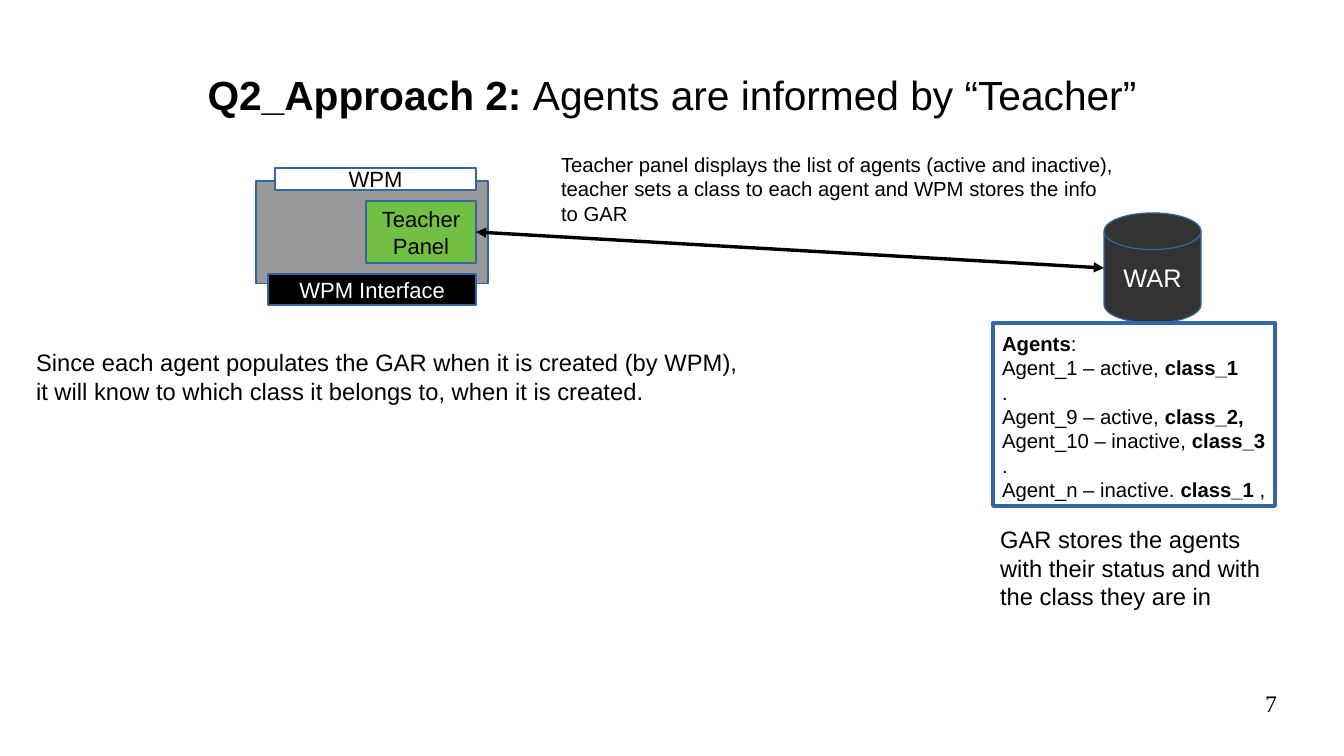
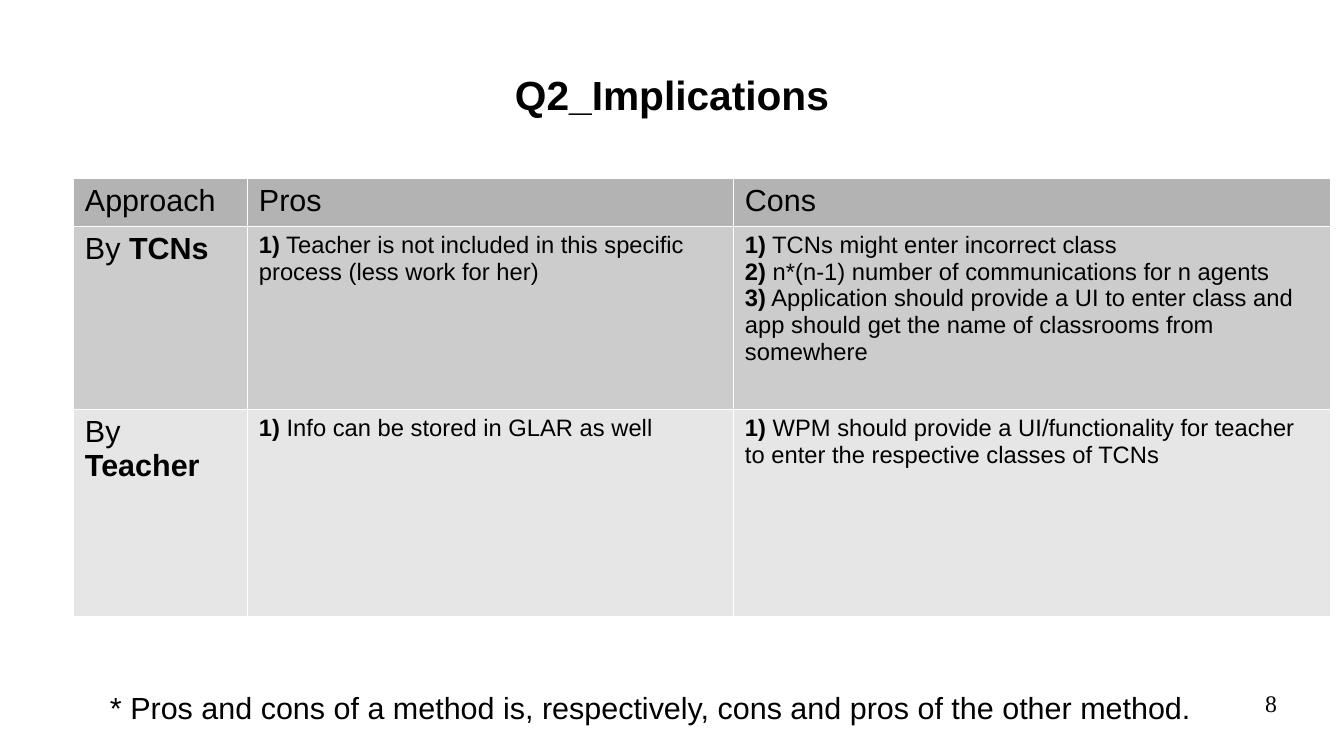
from dataclasses import dataclass
from typing import Any, Optional

from lxml import etree
from pptx import Presentation
from pptx.dml.color import RGBColor
from pptx.enum.shapes import MSO_CONNECTOR, MSO_SHAPE
from pptx.enum.text import MSO_ANCHOR, MSO_AUTO_SIZE, PP_ALIGN
from pptx.oxml import parse_xml
from pptx.oxml.ns import nsdecls, qn
from pptx.util import Emu, Pt

RECT, DISK = MSO_SHAPE.RECTANGLE, MSO_SHAPE.FLOWCHART_MAGNETIC_DISK
STRAIGHT = MSO_CONNECTOR.STRAIGHT
TOP, MIDDLE = MSO_ANCHOR.TOP, MSO_ANCHOR.MIDDLE
LEFT, CENTER, RIGHT = PP_ALIGN.LEFT, PP_ALIGN.CENTER, PP_ALIGN.RIGHT
GROW, FIXED = MSO_AUTO_SIZE.SHAPE_TO_FIT_TEXT, MSO_AUTO_SIZE.NONE
RIGHT_SITE = 3
SLIDE_W, SLIDE_H = 1344, 756
EMU_PER_PX = 7495


@dataclass(frozen=True)
class Theme:
    font: str = "Arial"
    number_font: str = "Times New Roman"
    black: str = "000000"
    white: str = "FFFFFF"
    outline: str = "3465A4"
    module: str = "999999"
    panel: str = "72BF44"
    store: str = "333333"
    rows: tuple[str, ...] = ("B3B3B3", "CCCCCC", "E6E6E6")
    title: int = 24
    large: int = 18
    disk: int = 15
    body: int = 14
    label: int = 13
    small: int = 12
    frame_line: float = 2.3
    cell_line: int = 762


THEME = Theme()


@dataclass(frozen=True)
class Rect:
    x: int
    y: int
    w: int
    h: int


@dataclass(frozen=True)
class Style:
    size: int = THEME.body
    color: str = THEME.black
    font: str = THEME.font
    align: PP_ALIGN = LEFT


@dataclass(frozen=True)
class Block:
    at: Rect
    fill: str
    text: str = ""
    style: Style = Style()
    kind: MSO_SHAPE = RECT
    line: float = 0


@dataclass(frozen=True)
class Note:
    at: Rect
    paragraphs: tuple[str, ...]
    style: Style = Style()
    anchor: MSO_ANCHOR = TOP
    size_mode: MSO_AUTO_SIZE = GROW
    wrap: bool = False
    padded: bool = True


LABEL = Style(THEME.label, align=CENTER)
LABEL_LIGHT = Style(THEME.label, THEME.white, align=CENTER)
DISK_LABEL = Style(THEME.disk, THEME.white, align=CENTER)
SMALL = Style(THEME.small)
LARGE = Style(THEME.large)
TITLE = Style(THEME.title, align=CENTER)
NUMBER = Style(font=THEME.number_font, align=RIGHT)

MODULE = Block(Rect(256, 181, 232, 103), THEME.module)
WPM = Block(Rect(275, 168, 201, 22), THEME.white, "WPM", LABEL)
TEACHER = Block(Rect(366, 201, 110, 62), THEME.panel, "Teacher\nPanel", LABEL)
INTERFACE = Block(Rect(268, 274, 208, 31), THEME.black, "WPM Interface", LABEL_LIGHT)
STORE = Block(Rect(1104, 213, 97, 110), THEME.store, "WAR", DISK_LABEL, DISK)
AGENT_FRAME = Block(Rect(993, 323, 282, 183), THEME.white, line=THEME.frame_line)
BLOCKS = (MODULE, WPM, TEACHER, INTERFACE, STORE, AGENT_FRAME)

NOTES = (
    Note(Rect(549, 146, 580, 81), (
        "Teacher panel displays the list of agents (active and inactive),\n"
        "teacher sets a class to each agent and WPM stores the info\nto GAR",
    ), SMALL),
    Note(Rect(990, 325, 289, 172), (
        "**Agents**:",
        "Agent_1 – active, **class_1**",
        ".",
        "Agent_9 – active, **class_2,**",
        "Agent_10 – inactive, **class_3**",
        ".",
        "Agent_n – inactive. **class_1** ,",
    ), SMALL),
    Note(Rect(988, 519, 292, 92), (
        "GAR stores the agents\nwith their status and with\nthe class they are in",
    )),
    Note(Rect(24, 342, 734, 66), (
        "Since each agent populates the GAR when it is created (by WPM),",
        "it will know to which class it belongs to, when it is created.",
    )),
)

FOOTNOTE = Note(Rect(98, 683, 1114, 46), (
    "* Pros and cons of a method is, respectively, cons and pros of the other method.",
), LARGE)

TABLE_AT = (73, 178)
COLUMNS = (174, 486, 597)
ROWS = (48, 183, 207)
CELLS = (
    (("Approach",), ("Pros",), ("Cons",)),
    (
        ("By **TCNs**",),
        ("**1)** Teacher is not included in this specific process (less work for her)",),
        (
            "**1)** TCNs might enter incorrect class",
            "**2)** n*(n-1) number of communications for n agents",
            "**3)** Application should provide a UI to enter class and app should "
            "get the name of classrooms from somewhere",
        ),
    ),
    (
        ("By **Teacher**",),
        ("**1)** Info can be stored in GLAR as well",),
        ("**1)** WPM should provide a UI/functionality for teacher to enter the "
         "respective classes of TCNs",),
    ),
)


def px(n: int) -> Emu:
    return Emu(n * EMU_PER_PX)


def rgb(color: str) -> RGBColor:
    return RGBColor.from_string(color)


def place(at: Rect) -> tuple[Emu, ...]:
    return px(at.x), px(at.y), px(at.w), px(at.h)


def assign(target: Any, values: dict[str, Any]) -> None:
    for name, value in values.items():
        setattr(target, name, value)


def margins(padded: bool) -> dict[str, Emu]:
    x, y = (px(12), px(6)) if padded else (px(0), px(0))
    return {"margin_left": x, "margin_right": x, "margin_top": y, "margin_bottom": y}


def write(tf: Any, paragraphs: tuple[str, ...], style: Style) -> None:
    for i, text in enumerate(paragraphs):
        p = tf.add_paragraph() if i else tf.paragraphs[0]
        p.alignment = style.align
        for j, part in enumerate(text.split("**")):
            for k, line in enumerate(part.split("\n")):
                if k:
                    p.add_line_break()
                if line:
                    r = p.add_run()
                    r.text = line
                    assign(r.font, {"name": style.font, "size": Pt(style.size),
                                    "bold": j % 2 == 1})
                    r.font.color.rgb = rgb(style.color)


def draw_block(s: Any, block: Block) -> Any:
    sp = s.shapes.add_shape(block.kind, *place(block.at))
    sp.shadow.inherit = False
    sp.fill.solid()
    sp.fill.fore_color.rgb = rgb(block.fill)
    sp.line.color.rgb = rgb(THEME.outline)
    sp.line.width = Pt(block.line)
    if block.text:
        tf = sp.text_frame
        assign(tf, {"word_wrap": False, "vertical_anchor": MIDDLE, **margins(True)})
        write(tf, (block.text,), block.style)
    return sp


def draw_note(s: Any, note: Note) -> None:
    tf = s.shapes.add_textbox(*place(note.at)).text_frame
    assign(tf, {"word_wrap": note.wrap, "auto_size": note.size_mode,
                "vertical_anchor": note.anchor, **margins(note.padded)})
    write(tf, note.paragraphs, note.style)


def draw_link(s: Any, source: Any, target: Any) -> None:
    y = target.top + target.height // 2
    c = s.shapes.add_connector(STRAIGHT, 0, 0, target.left, y)
    c.begin_connect(source, RIGHT_SITE)
    c.line.color.rgb = rgb(THEME.black)
    c.line.width = Pt(0)
    ln = c.line._get_or_add_ln()
    for end in ("a:headEnd", "a:tailEnd"):
        etree.SubElement(ln, qn(end), type="triangle")
    etree.SubElement(c._element.spPr, qn("a:effectLst"))


def draw_borders(cell: Any) -> None:
    tc_pr = cell._tc.get_or_add_tcPr()
    for i, side in enumerate("LRTB"):
        tc_pr.insert(i, parse_xml(
            f'<a:ln{side} {nsdecls("a")} w="{THEME.cell_line}"><a:solidFill>'
            f'<a:srgbClr val="{THEME.white}"/></a:solidFill></a:ln{side}>'))


def draw_table(s: Any) -> None:
    at = Rect(*TABLE_AT, sum(COLUMNS), sum(ROWS))
    table = s.shapes.add_table(len(ROWS), len(COLUMNS), *place(at)).table
    for column, width in zip(table.columns, COLUMNS):
        column.width = px(width)
    for i, (height, fill, texts) in enumerate(zip(ROWS, THEME.rows, CELLS)):
        table.rows[i].height = px(height)
        for j, paragraphs in enumerate(texts):
            cell = table.cell(i, j)
            assign(cell, {"vertical_anchor": TOP, **margins(True)})
            cell.fill.solid()
            cell.fill.fore_color.rgb = rgb(fill)
            draw_borders(cell)
            write(cell.text_frame, paragraphs, Style() if i and j else LARGE)


def add_slide(prs: Any, title: str, number: int) -> Any:
    s = prs.slides.add_slide(prs.slide_layouts[6])
    draw_note(s, Note(Rect(67, 31, 1210, 127), (title,), TITLE, MIDDLE, FIXED, True, False))
    draw_note(s, Note(Rect(964, 689, 313, 52), (str(number),), NUMBER, TOP, FIXED, True, False))
    return s


def main(target: Optional[Any] = None) -> None:
    prs = target or Presentation()
    assign(prs, {"slide_width": px(SLIDE_W), "slide_height": px(SLIDE_H)})

    s = add_slide(prs, "**Q2_Approach 2: **Agents are informed by “Teacher”", 7)
    drawn = {block: draw_block(s, block) for block in BLOCKS}
    draw_link(s, drawn[TEACHER], drawn[STORE])
    for note in NOTES:
        draw_note(s, note)

    s = add_slide(prs, "**Q2_Implications**", 8)
    draw_table(s)
    draw_note(s, FOOTNOTE)

    prs.save("out.pptx")


if __name__ == "__main__":
    main()
